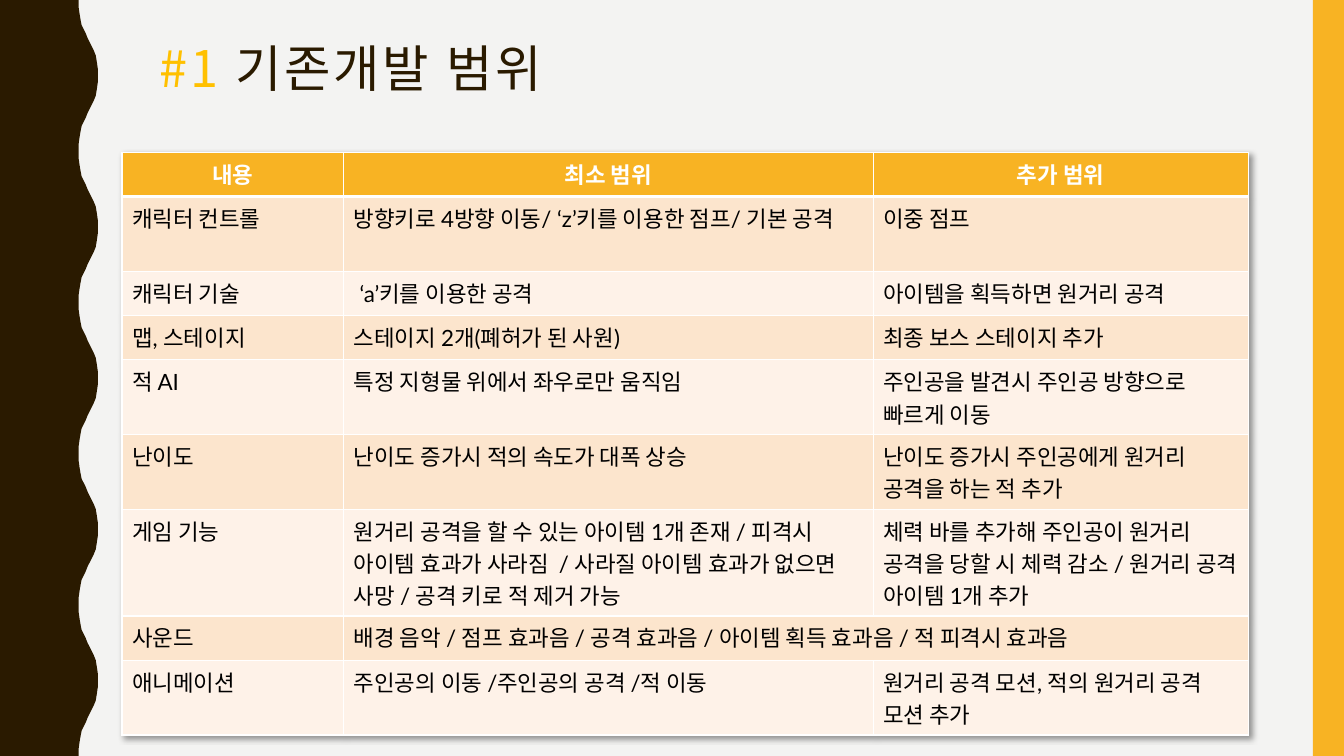
from lxml import etree
from pptx import Presentation, util as u
from pptx.dml.color import RGBColor
from pptx.enum import shapes, text
from pptx.oxml import parse_xml
from pptx.oxml.ns import nsdecls, qn

COLORS = {
    "background": "F3F3F2", "wave": "2A1A00", "amber": "F8B323",
    "number": "FFC000", "white": "FFFFFF", "black": "000000",
    "odd": "FCE5CD", "even": "FEF2E8",
}
HANGUL_FONT = "Noto Sans CJK KR"
LATIN_FONT = "Lato"
HALF_WAVE = [
    (0.78, 0), (0.78, 0.07), (0.79, 0.14), (0.8, 0.2), (0.81, 0.25),
    (0.83, 0.29), (0.85, 0.33), (0.87, 0.38), (0.89, 0.42), (0.91, 0.46),
    (0.93, 0.5), (0.95, 0.55), (0.96, 0.61), (0.97, 0.68), (0.97, 0.75),
]
WAVE_LENGTH = 1.5
COLUMN_WIDTHS = [2.2, 5.25, 3.72]
ROW_HEIGHTS = [0.44, 0.44, 0.44, 0.44, 0.69, 0.69, 0.98, 0.44, 0.69]
SCOPE_ROWS = [
    ["내용", "최소 범위", "추가 범위"],
    ["캐릭터 컨트롤", "방향키로 4방향 이동/ ‘z’키를 이용한 점프/ 기본 공격", "이중 점프"],
    ["캐릭터 기술", " ‘a’키를 이용한 공격", "아이템을 획득하면 원거리 공격"],
    ["맵, 스테이지", "스테이지 2개(폐허가 된 사원)", "최종 보스 스테이지 추가"],
    ["적 AI", "특정 지형물 위에서 좌우로만 움직임",
     "주인공을 발견시 주인공 방향으로 빠르게 이동"],
    ["난이도", "난이도 증가시 적의 속도가 대폭 상승",
     "난이도 증가시 주인공에게 원거리 공격을 하는 적 추가"],
    ["게임 기능",
     "원거리 공격을 할 수 있는 아이템 1개 존재 / 피격시 아이템 효과가 사라짐  / "
     "사라질 아이템 효과가 없으면 사망 / 공격 키로 적 제거 가능",
     "체력 바를 추가해 주인공이 원거리 공격을 당할 시 체력 감소 / "
     "원거리 공격 아이템 1개 추가"],
    ["사운드",
     "배경 음악 / 점프 효과음 / 공격 효과음 / 아이템 획득 효과음 / 적 피격시 효과음"],
    ["애니메이션", "주인공의 이동 /주인공의 공격 /적 이동",
     "원거리 공격 모션, 적의 원거리 공격 모션 추가"],
]


def rgb(name):
    return RGBColor.from_string(COLORS[name])


def paint(shape, color):
    shape.shadow.inherit = False
    shape.fill.solid()
    shape.fill.fore_color.rgb = rgb(color)
    shape.line.fill.background()


def set_hangul_font(run):
    properties = run.font._element if hasattr(run.font, "_element") else run._r.get_or_add_rPr()
    etree.SubElement(properties, qn("a:ea")).set("typeface", HANGUL_FONT)


def add_wave(slide, left, top, height):
    edge = []
    for half in range(round(2 * height / WAVE_LENGTH)):
        start = half // 2 * WAVE_LENGTH
        if half % 2:
            edge += [(x, start + WAVE_LENGTH - y) for x, y in HALF_WAVE[-2::-1]]
        else:
            edge += [(x, start + y) for x, y in HALF_WAVE]
    points = [(u.Inches(left + x), u.Inches(top + y)) for x, y in edge]
    builder = slide.shapes.build_freeform(u.Inches(left), u.Inches(top))
    builder.add_line_segments(points + [(u.Inches(left), u.Inches(top + height))])
    paint(builder.convert_to_shape(), "wave")


def add_side_bar(slide, left, top, width, height):
    bar = slide.shapes.add_shape(
        shapes.MSO_SHAPE.RECTANGLE, *map(u.Inches, (left, top, width, height)))
    paint(bar, "amber")


def add_title(slide, left, top, width, height):
    box = slide.shapes.add_textbox(*map(u.Inches, (left, top, width, height)))
    frame = box.text_frame
    frame.word_wrap = True
    frame.vertical_anchor = text.MSO_ANCHOR.TOP
    paragraph = frame.paragraphs[0]
    paragraph.alignment = text.PP_ALIGN.CENTER
    paragraph.line_spacing = 0.9
    paragraph.font.size = u.Pt(36)
    for words, color in (("#1 ", "number"), ("기존개발 범위", "wave")):
        run = paragraph.add_run()
        run.text = words
        run.font.size = u.Pt(36)
        run.font.name = HANGUL_FONT
        run.font.color.rgb = rgb(color)
        run._r.get_or_add_rPr().set("spc", "200")
        set_hangul_font(run)


def add_borders(cell, top_width, bottom_width):
    properties = cell._tc.get_or_add_tcPr()
    for side, width in (("L", 1), ("R", 1), ("T", top_width), ("B", bottom_width)):
        properties.append(parse_xml(
            f'<a:ln{side} {nsdecls("a")} w="{u.Pt(width)}"><a:solidFill>'
            f'<a:srgbClr val="{COLORS["white"]}"/></a:solidFill></a:ln{side}>'))


def fill_cell(cell, words, row):
    header = row == 0
    add_borders(cell, 3 if row == 1 else 1, 3 if header else 1)
    cell.fill.solid()
    cell.fill.fore_color.rgb = rgb("amber" if header else "odd" if row % 2 else "even")
    paragraph = cell.text_frame.paragraphs[0]
    paragraph.alignment = text.PP_ALIGN.CENTER if header else text.PP_ALIGN.LEFT
    paragraph.font.size = u.Pt(16)
    if not words:
        return
    run = paragraph.add_run()
    run.text = words
    run.font.size = u.Pt(16)
    run.font.name = LATIN_FONT
    run.font.bold = header
    run.font.color.rgb = rgb("white" if header else "black")
    set_hangul_font(run)


def add_scope_table(slide, left, top):
    frame = slide.shapes.add_table(
        len(SCOPE_ROWS), len(COLUMN_WIDTHS), u.Inches(left), u.Inches(top),
        u.Inches(sum(COLUMN_WIDTHS)), u.Inches(sum(ROW_HEIGHTS)))
    table = frame.table
    table._tbl.tblPr.insert(0, parse_xml(
        f'<a:effectLst {nsdecls("a")}><a:outerShdw blurRad="50800" dist="38100" '
        f'dir="2700000" algn="tl" rotWithShape="0"><a:srgbClr val="{COLORS["black"]}">'
        '<a:alpha val="40000"/></a:srgbClr></a:outerShdw></a:effectLst>'))
    for column, width in zip(table.columns, COLUMN_WIDTHS):
        column.width = u.Inches(width)
    for row, (height, entries) in enumerate(zip(ROW_HEIGHTS, SCOPE_ROWS)):
        table.rows[row].height = u.Inches(height)
        for column in range(len(COLUMN_WIDTHS)):
            words = entries[column] if column < len(entries) else ""
            fill_cell(table.cell(row, column), words, row)
        if len(entries) < len(COLUMN_WIDTHS):
            table.cell(row, len(entries) - 1).merge(table.cell(row, len(COLUMN_WIDTHS) - 1))


def build_scope_slide(presentation):
    slide = presentation.slides.add_slide(presentation.slide_layouts[6])
    slide.background.fill.solid()
    slide.background.fill.fore_color.rgb = rgb("background")
    add_wave(slide, 0, 0, 7.5)
    add_side_bar(slide, 13.02, 0, 0.31, 7.5)
    add_scope_table(slide, 1.21, 1.51)
    add_title(slide, 1.21, 0.39, 4.54, 1.63)


presentation = Presentation()
presentation.slide_width = u.Inches(13.33)
presentation.slide_height = u.Inches(7.5)
build_scope_slide(presentation)
presentation.save("out.pptx")
